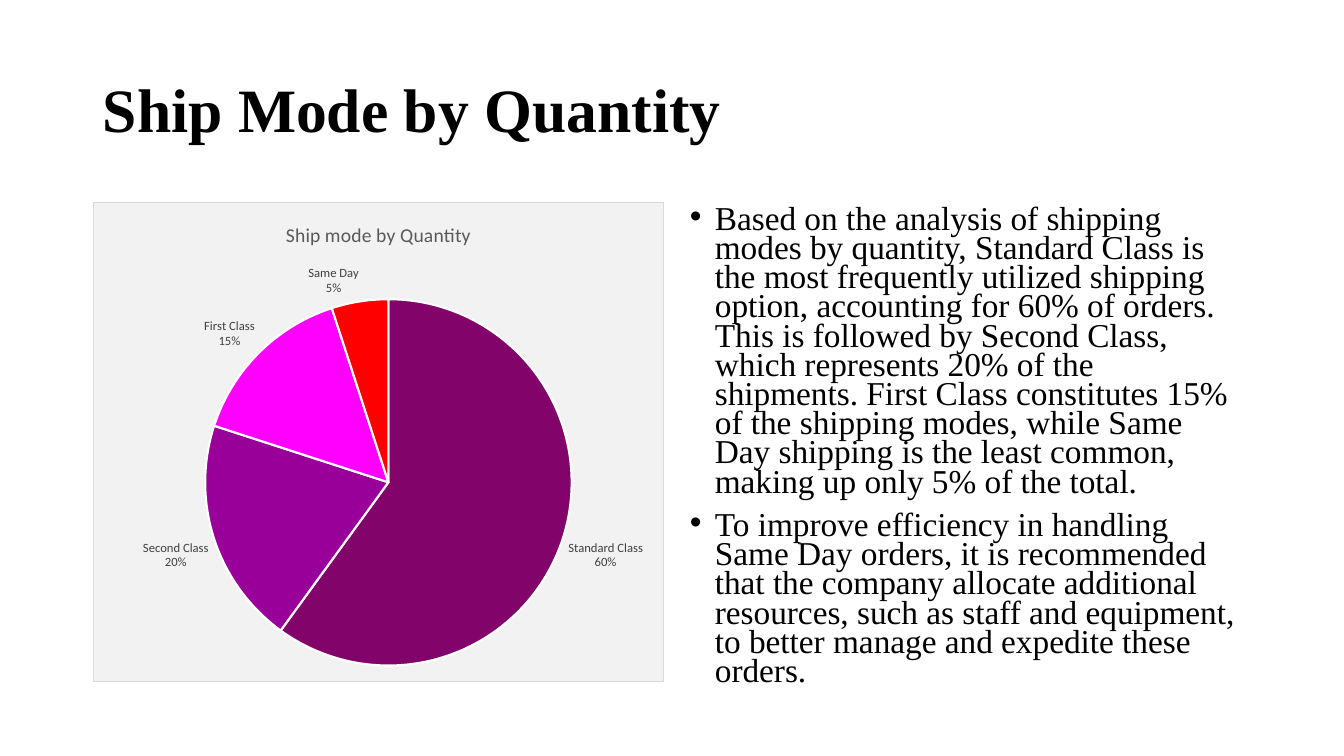
from lxml import etree
from pptx import Presentation
from pptx.chart.data import CategoryChartData
from pptx.dml.color import RGBColor
from pptx.enum.chart import XL_CHART_TYPE as Kind, XL_LABEL_POSITION as Spot
from pptx.enum.text import MSO_ANCHOR as Anchor
from pptx.oxml import parse_xml
from pptx.oxml.ns import nsdecls, qn
from pptx.util import Emu, Pt

TITLE = "Ship Mode by Quantity"
NOTES = [
    "Based on the analysis of shipping modes by quantity, Standard Class is the most "
    "frequently utilized shipping option, accounting for 60% of orders. This is followed by "
    "Second Class, which represents 20% of the shipments. First Class constitutes 15% of the "
    "shipping modes, while Same Day shipping is the least common, making up only 5% of the total.",
    "To improve efficiency in handling Same Day orders, it is recommended that the company "
    "allocate additional resources, such as staff and equipment, to better manage and expedite "
    "these orders.",
]
HEAD = "Ship mode by Quantity"
SHARES = [
    ("Standard Class", 60, "82046A"),
    ("Second Class", 20, "990099"),
    ("First Class", 15, "FF00FF"),
    ("Same Day", 5, "FF0000"),
]
SERIF, SANS = "Times New Roman", "Calibri"

# Lengths in px
WIDE, HIGH = 1344, 756
LEFT, TOP, COL_W, COL_H = 93, 202, 571, 480
RIGHT = WIDE - LEFT - COL_W
HEAD_Y, HEAD_H = 40, 146
INDENT = 25
PIE_X, PIE_Y, PIE_D = 112, 97, 367  # inside the chart


def px(n):
    return Emu(round(n * 914400 / 100.8))


def color(code):
    return RGBColor.from_string(code)


def style(font, size, code, face, bold=False):
    font.size, font.name, font.bold = Pt(size), face, bold
    font.color.rgb = color(code)


def write(slide, box, lines, size, anchor=Anchor.TOP, bold=False, gap=1.0, before=0, bullet=False):
    frame = slide.shapes.add_textbox(*map(px, box)).text_frame
    frame.word_wrap, frame.vertical_anchor = True, anchor
    for i, line in enumerate(lines):
        para = frame.add_paragraph() if i else frame.paragraphs[0]
        para.line_spacing, para.space_before = gap, Pt(before)
        run = para.add_run()
        run.text = line
        style(run.font, size, "000000", SERIF, bold)
        if bullet:
            props = para._p.get_or_add_pPr()
            props.set("marL", str(px(INDENT)))
            props.set("indent", str(-px(INDENT)))
            etree.SubElement(props, qn("a:buFont")).set("typeface", "Arial")
            etree.SubElement(props, qn("a:buChar")).set("char", "•")


def place_pie(chart):
    """Fix the pie's place in the chart and paint the chart's ground."""
    parts = {"x": PIE_X / COL_W, "y": PIE_Y / COL_H, "w": PIE_D / COL_W, "h": PIE_D / COL_H}
    sizes = "".join(f'<c:{k} val="{v:.3f}"/>' for k, v in parts.items())
    plot = chart._chartSpace.chart.plotArea
    for old in plot.findall(qn("c:layout")):
        plot.remove(old)
    plot.insert(0, parse_xml(
        f'<c:layout {nsdecls("c")}><c:manualLayout><c:layoutTarget val="inner"/>'
        f'<c:xMode val="edge"/><c:yMode val="edge"/>{sizes}</c:manualLayout></c:layout>'))
    chart._chartSpace.chart.addnext(parse_xml(
        f'<c:spPr {nsdecls("c", "a")}><a:solidFill><a:srgbClr val="F2F2F2"/></a:solidFill>'
        '<a:ln w="9525"><a:solidFill><a:srgbClr val="D9D9D9"/></a:solidFill></a:ln></c:spPr>'))


def add_pie(slide, box):
    data = CategoryChartData()
    data.categories = [name for name, _, _ in SHARES]
    data.add_series("Series 1", [share for _, share, _ in SHARES])
    chart = slide.shapes.add_chart(Kind.PIE, *map(px, box), data).chart
    style(chart.font, 10, "000000", SANS)
    chart.has_legend, chart.has_title = False, True
    para = chart.chart_title.text_frame.paragraphs[0]
    run = para.add_run()
    run.text = HEAD
    style(run.font, 14, "595959", SANS)
    chart.chart_title.include_in_layout = False

    plot = chart.plots[0]
    plot.vary_by_categories = True
    for i, (_, _, code) in enumerate(SHARES):
        form = plot.series[0].points[i].format
        form.fill.solid()
        form.fill.fore_color.rgb = color(code)
        form.line.color.rgb = color("FFFFFF")
        form.line.width = Pt(1.5)
    labels = plot.series[0].data_labels
    labels.show_value = False
    labels.show_percentage = labels.show_category_name = True
    labels.number_format, labels.number_format_is_linked = "0%", False
    labels.position = Spot.OUTSIDE_END
    style(labels.font, 9, "404040", SANS)
    mark = parse_xml(f'<c:separator {nsdecls("c")}>\n</c:separator>')
    labels._element.find(qn("c:showBubbleSize")).addnext(mark)
    place_pie(chart)


def main():
    deck = Presentation()
    deck.slide_width, deck.slide_height = px(WIDE), px(HIGH)
    slide = deck.slides.add_slide(deck.slide_layouts[6])
    write(slide, (LEFT, HEAD_Y, WIDE - 2 * LEFT, HEAD_H), [TITLE], 44,
          anchor=Anchor.MIDDLE, bold=True, gap=0.9)
    write(slide, (RIGHT, TOP, COL_W, COL_H), NOTES, 23.8, gap=0.73, before=10, bullet=True)
    add_pie(slide, (LEFT, TOP, COL_W, COL_H))
    deck.save("out.pptx")


if __name__ == "__main__":
    main()
